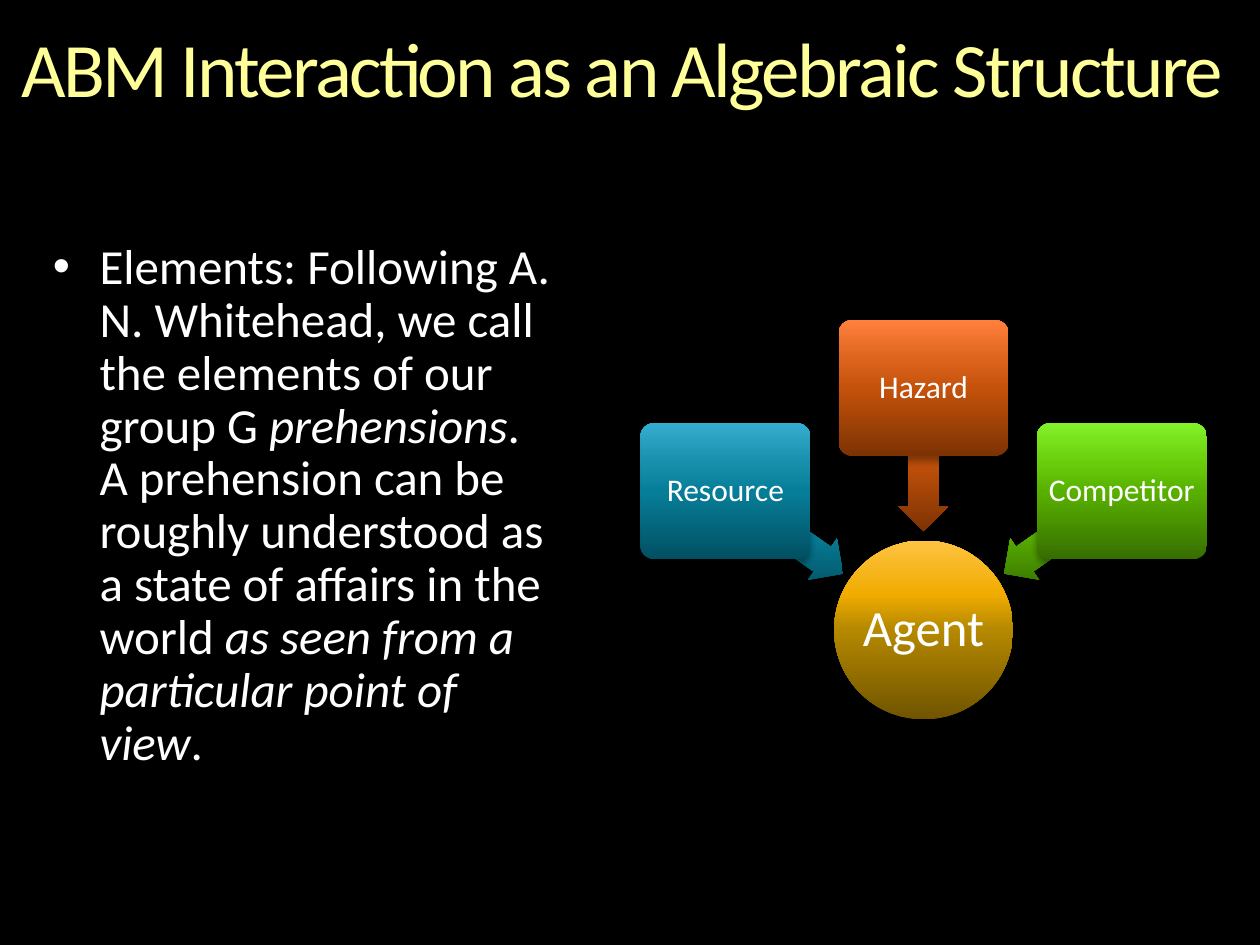
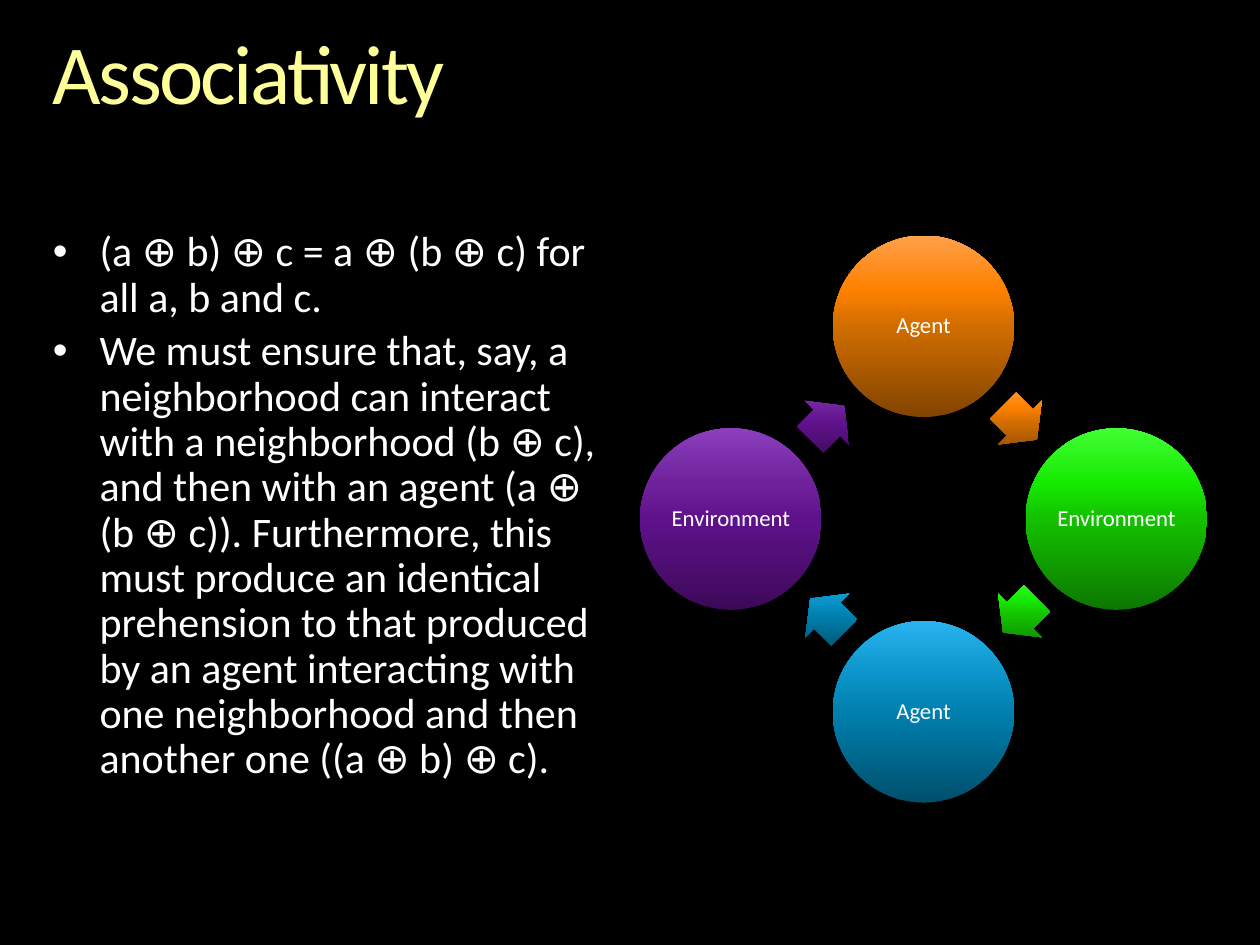
from math import cos, radians, sin

from lxml import etree
from pptx import Presentation
from pptx.dml.color import RGBColor
from pptx.enum import shapes, text
from pptx.oxml.ns import qn
from pptx.util import Inches, Pt

# ---- Content: runs are (words, italic) ----
ELEMENTS = {
    "title": "ABM Interaction as an Algebraic Structure",
    "title_size": 44, "title_box": (0.17, 0.25, 9.58, 1.33),
    "body_size": 28, "body_box": (0.42, 1.92, 4, 4.24),
    "bullets": [[
        ("Elements: Following A. N. Whitehead, we call the elements of our group G ", False),
        ("prehensions", True),
        (". A prehension can be roughly understood as a state of affairs in the world ", False),
        ("as seen from a particular point of view", True),
        (".", False),
    ]],
}
ASSOCIATIVITY = {
    "title": "Associativity",
    "title_size": 48, "title_box": (0.42, 0.25, 9.17, 0.73),
    "body_size": 24, "body_box": (0.42, 1.83, 4.5, 4.44),
    "bullets": [
        [("(a ⊕ b) ⊕ c = a ⊕ (b ⊕ c) for all a, b and c.", False)],
        [("We must ensure that, say, a neighborhood can interact with a neighborhood (b ⊕ c), "
          "and then with an agent (a ⊕ (b ⊕ c)). Furthermore, this must produce an identical "
          "prehension to that produced by an agent interacting with one neighborhood and then "
          "another one ((a ⊕ b) ⊕ c).", False)],
    ],
}
HUB = ("Agent", "gold")
INFLUENCES = [("Resource", "teal", 215), ("Hazard", "rust", 270), ("Competitor", "lime", 325)]
CYCLE = [("Agent", "orange"), ("Environment", "green"), ("Agent", "blue"), ("Environment", "purple")]

# ---- Theme ----
THEME = {
    "font": "Calibri", "background": "000000", "title": "FFFF99", "text": "FFFFFF",
    "hub_size": 29, "influence_size": 18, "cycle_size": 13,
    "line_spacing": 0.9, "indent": 0.37,
    "stops": (0, 50, 70, 100),  # gradient positions, bottom to top
    "ramps": {
        "gold": ("705400", "B48800", "F0AC00", "FFC342"),
        "teal": ("015062", "077E99", "178EAB", "35ADCE"),
        "rust": ("7D3203", "C4520B", "DB631C", "FF803C"),
        "lime": ("376E00", "58B100", "68CC0B", "83F229"),
        "orange": ("824400", "D16D00", "FE8100", "FFA04B"),
        "green": ("0C7700", "14C000", "15EA00", "42FF35"),
        "blue": ("004F6C", "0080AE", "0B94C9", "29B3EF"),
        "purple": ("3C0958", "5F128B", "6F229C", "8B3FBD"),
    },
}
DIAGRAM_X = 7.33
HUB_Y, HUB_WIDTH = 5.0, 1.42
BLOCK, BLOCK_RADIUS = (1.35, 1.08), 1.92
INFLOW, INFLOW_RADIUS = (1.14, 0.4), 1.35
CYCLE_Y, CYCLE_RADIUS, CYCLE_WIDTH = 4.12, 1.53, 1.44
STEP_ARROW = (0.38, 0.49)


# ---- Text ----
def write(frame, paragraphs, *, size, color=THEME["text"], align=text.PP_ALIGN.LEFT,
          anchor=text.MSO_ANCHOR.TOP, inset=0, tracking=None, bulleted=False):
    frame.word_wrap = True
    frame.vertical_anchor = anchor
    frame.margin_left = frame.margin_right = Inches(inset)
    frame.margin_top = frame.margin_bottom = Inches(inset)
    for index, runs in enumerate(paragraphs):
        paragraph = frame.paragraphs[0] if index == 0 else frame.add_paragraph()
        paragraph.alignment = align
        paragraph.line_spacing = THEME["line_spacing"]
        if bulleted:
            paragraph.space_before = Pt(size * 0.2)
            props = paragraph._p.get_or_add_pPr()
            props.set("marL", str(Inches(THEME["indent"])))
            props.set("indent", str(-Inches(THEME["indent"])))
            etree.SubElement(props, qn("a:buFont"), typeface="Arial")
            etree.SubElement(props, qn("a:buChar"), char="•")
        for words, italic in runs:
            run = paragraph.add_run()
            run.text = words
            run.font.name = THEME["font"]
            run.font.size = Pt(size)
            run.font.italic = italic
            run.font.color.rgb = RGBColor.from_string(color)
            if tracking:
                run._r.get_or_add_rPr().set("spc", str(int(tracking * 100)))


# ---- Shapes ----
def polar(center_y, radius, angle):
    return (DIAGRAM_X + radius * cos(radians(angle)), center_y + radius * sin(radians(angle)))


def add_part(slide, kind, center, size, ramp, *, rotation=0, adjustments=()):
    """Place a shaded shape by its centre."""
    corner = [c - s / 2 for c, s in zip(center, size)]
    part = slide.shapes.add_shape(kind, *map(Inches, (*corner, *size)))
    part.rotation = rotation
    for index, value in enumerate(adjustments):
        part.adjustments[index] = value
    part.line.fill.background()
    part.fill.gradient()
    part.fill.gradient_angle = 90
    props = part._element.spPr
    gradient = props.find(qn("a:gradFill"))
    gradient.set("rotWithShape", "0")
    stops = gradient.find(qn("a:gsLst"))
    for stop in list(stops):
        stops.remove(stop)
    for position, color in zip(THEME["stops"], THEME["ramps"][ramp]):
        stop = etree.SubElement(stops, qn("a:gs"), pos=str(position * 1000))
        etree.SubElement(stop, qn("a:srgbClr"), val=color)
    part.shadow.inherit = False
    shadow = etree.SubElement(props.find(qn("a:effectLst")), qn("a:outerShdw"),
                              blurRad=str(Pt(4)), dist=str(Pt(3)), dir="5400000", rotWithShape="0")
    shade = etree.SubElement(shadow, qn("a:srgbClr"), val="000000")
    etree.SubElement(shade, qn("a:alpha"), val="35000")
    return part


def label(part, words, size, inset):
    write(part.text_frame, [[(words, False)]], size=size, inset=inset,
          align=text.PP_ALIGN.CENTER, anchor=text.MSO_ANCHOR.MIDDLE)


# ---- Slides ----
def add_page(deck, content):
    slide = deck.slides.add_slide(deck.slide_layouts[6])
    slide.background.fill.solid()
    slide.background.fill.fore_color.rgb = RGBColor.from_string(THEME["background"])
    heading = slide.shapes.add_textbox(*map(Inches, content["title_box"]))
    write(heading.text_frame, [[(content["title"], False)]], size=content["title_size"],
          color=THEME["title"], tracking=-1.5)
    body = slide.shapes.add_textbox(*map(Inches, content["body_box"]))
    write(body.text_frame, content["bullets"], size=content["body_size"], bulleted=True)
    return slide


def draw_influences(slide):
    kinds = shapes.MSO_SHAPE
    words, ramp = HUB
    hub = add_part(slide, kinds.OVAL, (DIAGRAM_X, HUB_Y), (HUB_WIDTH, HUB_WIDTH), ramp)
    label(hub, words, THEME["hub_size"], 0.02)
    for words, ramp, angle in INFLUENCES:
        add_part(slide, kinds.LEFT_ARROW, polar(HUB_Y, INFLOW_RADIUS, angle), INFLOW, ramp,
                 rotation=angle, adjustments=(0.6, 0.5))
        block = add_part(slide, kinds.ROUNDED_RECTANGLE, polar(HUB_Y, BLOCK_RADIUS, angle),
                         BLOCK, ramp, adjustments=(0.1,))
        label(block, words, THEME["influence_size"], 0.04)


def draw_cycle(slide):
    kinds = shapes.MSO_SHAPE
    step = 360 / len(CYCLE)
    for index, (words, ramp) in enumerate(CYCLE):
        angle = index * step - 90
        node = add_part(slide, kinds.OVAL, polar(CYCLE_Y, CYCLE_RADIUS, angle),
                        (CYCLE_WIDTH, CYCLE_WIDTH), ramp)
        label(node, words, THEME["cycle_size"], 0.02)
        # Each arrow sits midway along the chord to the next node
        midway = polar(CYCLE_Y, CYCLE_RADIUS * cos(radians(step / 2)), angle + step / 2)
        add_part(slide, kinds.RIGHT_ARROW, midway, STEP_ARROW, ramp,
                 rotation=step / 2 + index * step, adjustments=(0.6, 0.5))


def main():
    deck = Presentation()
    deck.slide_width, deck.slide_height = Inches(10), Inches(7.5)
    draw_influences(add_page(deck, ELEMENTS))
    draw_cycle(add_page(deck, ASSOCIATIVITY))
    deck.save("out.pptx")


if __name__ == "__main__":
    main()
